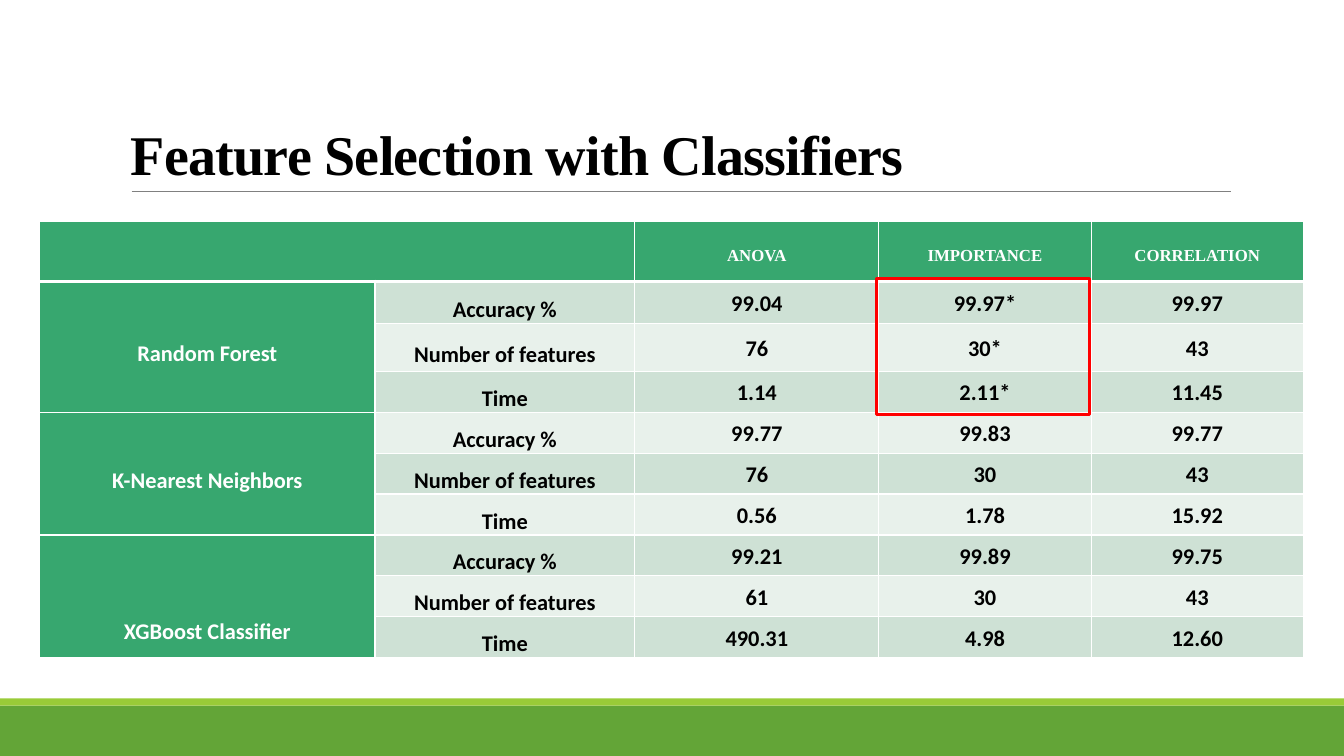
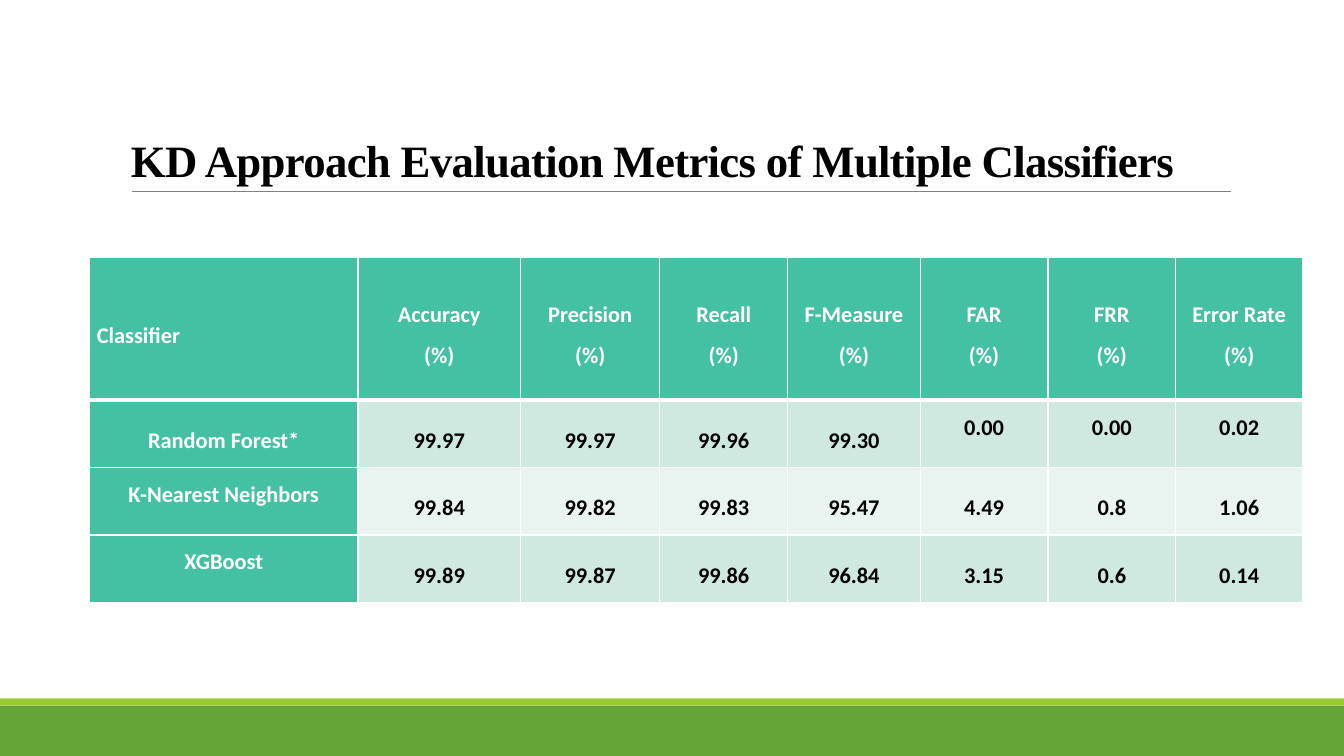
from dataclasses import dataclass, field, replace

import lxml.etree
import pptx
import pptx.dml.color
import pptx.enum.shapes
import pptx.enum.text
import pptx.oxml.ns
import pptx.presentation
import pptx.shapes.autoshape
import pptx.slide
import pptx.table
import pptx.util

Cm = pptx.util.Cm
Pt = pptx.util.Pt
Align = pptx.enum.text.PP_ALIGN
Anchor = pptx.enum.text.MSO_ANCHOR
Shape = pptx.enum.shapes.MSO_SHAPE


@dataclass(frozen=True)
class Theme:
    footer: str = "63A537"
    footer_edge: str = "99CB38"
    rule: str = "808080"
    ink: str = "000000"
    paper: str = "FFFFFF"
    highlight: str = "FF0000"
    serif: str = "Times New Roman"
    sans: str = "Calibri"
    body_size: float = 16
    column_size: float = 12
    title_size: float = 40
    long_title_size: float = 32
    thin: float = 1
    thick: float = 3


THEME = Theme()


@dataclass(frozen=True)
class Area:
    left: float
    top: float
    width: float
    height: float

    def lengths(self) -> tuple[int, int, int, int]:
        return Cm(self.left), Cm(self.top), Cm(self.width), Cm(self.height)


@dataclass(frozen=True)
class TextStyle:
    color: str
    font: str = THEME.sans
    size: float = THEME.body_size
    spacing: float = 1.5
    after: float = 0
    align: Align = Align.CENTER
    anchor: Anchor = Anchor.MIDDLE
    bottom: float = 0


@dataclass(frozen=True)
class Grid:
    left: float
    top: float
    columns: list[float]
    rows: list[float]
    accent: str
    bands: tuple[str, str]
    cells: list[list[str]]
    header: TextStyle
    side: TextStyle
    label: TextStyle
    value: TextStyle
    label_columns: int = 1
    merges: list[tuple[int, int, int, int]] = field(default_factory=list)
    overrides: dict[tuple[int, int], dict] = field(default_factory=dict)

    def style(self, row: int, column: int) -> TextStyle:
        if row == 0:
            base = self.header
        elif column == 0:
            base = self.side
        else:
            base = self.label if column < self.label_columns else self.value
        return replace(base, **self.overrides.get((row, column), {}))

    def fill(self, row: int, column: int) -> str:
        return self.accent if 0 in (row, column) else self.bands[(row - 1) % 2]


def rgb(color: str) -> pptx.dml.color.RGBColor:
    return pptx.dml.color.RGBColor.from_string(color)


def add_box(
    page: pptx.slide.Slide, area: Area, fill: str = "", line: str = "", weight: float = 0
) -> pptx.shapes.autoshape.Shape:
    box = page.shapes.add_shape(Shape.RECTANGLE, *area.lengths())
    box.shadow.inherit = False
    if fill:
        box.fill.solid()
        box.fill.fore_color.rgb = rgb(fill)
    else:
        box.fill.background()
    if line:
        box.line.color.rgb = rgb(line)
        box.line.width = Pt(weight)
    else:
        box.line.fill.background()
    return box


def add_page(deck: pptx.presentation.Presentation, title: str, size: float) -> pptx.slide.Slide:
    page = deck.slides.add_slide(deck.slide_layouts[6])
    add_box(page, Area(0, 17.78, 33.87, 1.27), THEME.footer)
    add_box(page, Area(0, 17.6, 33.87, 0.18), THEME.footer_edge)

    rule = page.shapes.add_connector(
        pptx.enum.shapes.MSO_CONNECTOR.STRAIGHT, Cm(3.32), Cm(4.82), Cm(31.01), Cm(4.82)
    )
    rule.line.color.rgb = rgb(THEME.rule)
    rule.line.width = Pt(0.5)
    lxml.etree.SubElement(rule._element.spPr, pptx.oxml.ns.qn("a:effectLst"))

    box = page.shapes.add_textbox(*Area(3.05, 0.79, 27.94, 4.04).lengths())
    box.text_frame.word_wrap = True
    box.text_frame.vertical_anchor = Anchor.BOTTOM
    box.text_frame.text = title
    para = box.text_frame.paragraphs[0]
    para.line_spacing = 0.85
    span = para.runs[0]
    span.font.name = THEME.serif
    span.font.size = Pt(size)
    span.font.bold = True
    span.font.color.rgb = rgb(THEME.ink)
    span._r.get_or_add_rPr().set("spc", "-50")
    return page


def add_borders(cell: pptx.table._Cell, row: int) -> None:
    widths = {
        "lnL": THEME.thin,
        "lnR": THEME.thin,
        "lnT": THEME.thick if row == 1 else THEME.thin,
        "lnB": THEME.thick if row == 0 else THEME.thin,
    }
    properties = cell._tc.get_or_add_tcPr()
    qn = pptx.oxml.ns.qn
    for side, width in widths.items():
        line = lxml.etree.SubElement(properties, qn(f"a:{side}"), w=str(Pt(width)))
        solid = lxml.etree.SubElement(line, qn("a:solidFill"))
        lxml.etree.SubElement(solid, qn("a:srgbClr"), val=THEME.paper)


def write_cell(cell: pptx.table._Cell, text: str, style: TextStyle) -> None:
    cell.margin_left = cell.margin_right = Cm(0.18)
    cell.margin_top = 0
    cell.margin_bottom = Cm(style.bottom)
    cell.vertical_anchor = style.anchor
    if not text:
        return
    cell.text_frame.text = text
    for para in cell.text_frame.paragraphs:
        para.alignment = style.align
        para.line_spacing = style.spacing
        para.space_after = Pt(style.after)
        for span in para.runs:
            span.font.name = style.font
            span.font.size = Pt(style.size)
            span.font.bold = True
            span.font.color.rgb = rgb(style.color)


def add_grid(page: pptx.slide.Slide, grid: Grid) -> None:
    area = Area(grid.left, grid.top, sum(grid.columns), sum(grid.rows))
    table = page.shapes.add_table(len(grid.rows), len(grid.columns), *area.lengths()).table
    table.horz_banding = False
    for column, width in zip(table.columns, grid.columns):
        column.width = Cm(width)
    for row, height in zip(table.rows, grid.rows):
        row.height = Cm(height)
    for top, left, bottom, right in grid.merges:
        table.cell(top, left).merge(table.cell(bottom, right))
    for row, texts in enumerate(grid.cells):
        for column, text in enumerate(texts):
            cell = table.cell(row, column)
            add_borders(cell, row)
            cell.fill.solid()
            cell.fill.fore_color.rgb = rgb(grid.fill(row, column))
            write_cell(cell, text, grid.style(row, column))


def feature_grid() -> Grid:
    results = {
        "Random Forest": [
            ["99.04", "99.97*", "99.97"], ["76", "30*", "43"], ["1.14", "2.11*", "11.45"],
        ],
        "K-Nearest Neighbors": [
            ["99.77", "99.83", "99.77"], ["76", "30", "43"], ["0.56", "1.78", "15.92"],
        ],
        "XGBoost Classifier": [
            ["99.21", "99.89", "99.75"], ["61", "30", "43"], ["490.31", "4.98", "12.60"],
        ],
    }
    measures = ["Accuracy %", "Number of features", "Time"]
    cells = [["", "", "ANOVA", "IMPORTANCE", "CORRELATION"]]
    for classifier, lines in results.items():
        for index, (measure, values) in enumerate(zip(measures, lines)):
            cells.append([classifier if index == 0 else "", measure, *values])
    side = TextStyle(THEME.paper, after=12)
    return Grid(
        left=1,
        top=5.59,
        columns=[8.45, 6.55, 6.15, 5.35, 5.35],
        rows=[1.5, 1.07, 1.2] + [1.03] * 7,
        accent="37A76F",
        bands=("CEE1D5", "E8F1EB"),
        cells=cells,
        header=replace(side, font=THEME.serif, size=THEME.column_size),
        side=side,
        label=replace(side, color=THEME.ink),
        value=TextStyle(THEME.ink, spacing=1.1),
        label_columns=2,
        merges=[(0, 0, 0, 1)] + [(top, 0, top + 2, 0) for top in (1, 4, 7)],
        overrides={(7, 0): {"anchor": Anchor.BOTTOM, "bottom": 0.3}},
    )


def metric_grid() -> Grid:
    metrics = ["Accuracy", "Precision", "Recall", "F-Measure", "FAR", "FRR", "Error Rate"]
    side = TextStyle(THEME.paper)
    value = TextStyle(THEME.ink)
    raised = [(1, 5), (1, 6), (1, 7), (2, 0), (3, 0)]
    return Grid(
        left=2.26,
        top=6.48,
        columns=[6.76, 4.1, 3.51, 3.22, 3.34, 3.22, 3.22, 3.2],
        rows=[3.6] + [1.7] * 3,
        accent="44C1A3",
        bands=("CFE9E0", "E9F4F0"),
        cells=[
            ["Classifier"] + [f"{metric}\n(%)" for metric in metrics],
            ["Random Forest*", "99.97", "99.97", "99.96", "99.30", "0.00", "0.00", "0.02"],
            ["K-Nearest Neighbors", "99.84", "99.82", "99.83", "95.47", "4.49", "0.8", "1.06"],
            ["XGBoost", "99.89", "99.87", "99.86", "96.84", "3.15", "0.6", "0.14"],
        ],
        header=side,
        side=side,
        label=value,
        value=value,
        overrides={(0, 0): {"align": Align.LEFT}}
        | {place: {"anchor": Anchor.TOP} for place in raised},
    )


def main() -> None:
    deck = pptx.Presentation()
    deck.slide_width = Cm(33.87)
    deck.slide_height = Cm(19.05)

    features = add_page(deck, "Feature Selection with Classifiers", THEME.title_size)
    add_grid(features, feature_grid())
    add_box(features, Area(22.1, 7.01, 5.36, 3.43), line=THEME.highlight, weight=2.25)

    metrics = add_page(
        deck, "KD Approach Evaluation Metrics of Multiple Classifiers", THEME.long_title_size
    )
    add_grid(metrics, metric_grid())

    deck.save("out.pptx")


if __name__ == "__main__":
    main()
